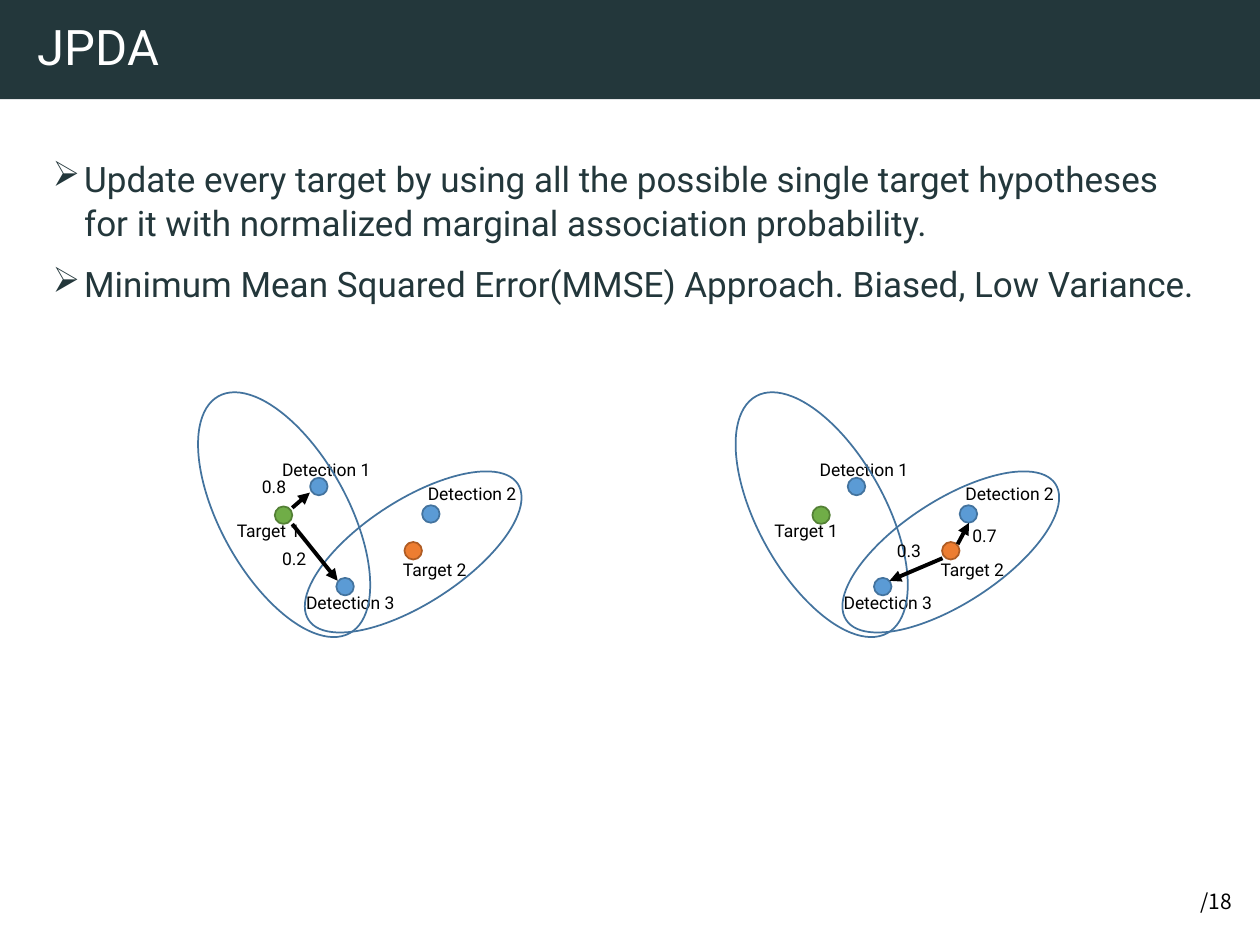
from lxml import etree
from pptx import Presentation
from pptx.dml.color import RGBColor
from pptx.enum.shapes import MSO_CONNECTOR, MSO_SHAPE
from pptx.enum.text import MSO_ANCHOR, MSO_AUTO_SIZE, PP_ALIGN
from pptx.oxml.ns import qn
from pptx.util import Pt

INK = RGBColor(0x23, 0x37, 0x3B)
WHITE = RGBColor(0xFF, 0xFF, 0xFF)
BLACK = RGBColor(0, 0, 0)
BLUE, BLUE_EDGE = RGBColor(0x5B, 0x9B, 0xD5), RGBColor(0x43, 0x73, 0x9E)
GREEN, GREEN_EDGE = RGBColor(0x70, 0xAD, 0x47), RGBColor(0x53, 0x80, 0x35)
ORANGE, ORANGE_EDGE = RGBColor(0xED, 0x7D, 0x31), RGBColor(0xAF, 0x5C, 0x24)

DOT = 10
PANEL_STEP = 307.2

# Dot: left, top, fill, edge; label: text, left, top, width
NODES = [
    (177.2, 273, BLUE, BLUE_EDGE, "Detection 1", 154.1, 258.5, 69),
    (157, 289.4, GREEN, GREEN_EDGE, "Target 1", 128.2, 293.8, 59),
    (231.1, 309.7, ORANGE, ORANGE_EDGE, "Target 2", 223.2, 316.1, 64),
    (241.2, 288.7, BLUE, BLUE_EDGE, "Detection 2", 237.4, 272.2, 69),
    (192.2, 330.2, BLUE, BLUE_EDGE, "Detection 3", 167.8, 335, 69),
]
# Gate: left, top, width, height, rotation
GATES = [(126, 216.7, 72.7, 154.8, 331), (206.6, 244.1, 59, 142.6, 57)]
# Association per panel: start, end, weight, weight position
PANELS = [
    [((167, 290.2), (177.1, 281.5), "0.8", (142.6, 268.6)),
     ((167, 299.5), (193, 331.9), "0.2", (154.1, 309.6))],
    [((231.4, 319), (201.1, 331.9), "0.3", (198.2, 305.3)),
     ((240, 311), (246.5, 298.8), "0.7", (241.4, 296.6))],
]
BULLETS = [
    "Update every target by using all the possible single target hypotheses "
    "for it with normalized marginal association probability.",
    "Minimum Mean Squared Error(MMSE) Approach. Biased, Low Variance.",
]


def write(p, text, size=10, color=BLACK, font="Roboto"):
    """Add one formatted run to a paragraph."""
    r = p.add_run()
    r.text = text
    r.font.size = Pt(size)
    r.font.name = font
    r.font.color.rgb = color
    for tag in ("a:ea", "a:sym"):
        r.font._element.append(r.font._element.makeelement(qn(tag), {"typeface": font}))


class Deck:
    """Current slide and the style of its elements."""

    def __init__(self, s):
        """Keep the slide to draw on."""
        self.s = s

    def title(self, text):
        """Turn the title placeholder into a full-width band."""
        sp = self.s.shapes.title
        sp.left, sp.top, sp.width, sp.height = Pt(0), Pt(0), Pt(720), Pt(56.7)
        sp.fill.solid()
        sp.fill.fore_color.rgb = INK
        tf = sp.text_frame
        tf.auto_size = MSO_AUTO_SIZE.NONE
        tf.vertical_anchor = MSO_ANCHOR.MIDDLE
        tf.margin_left = Pt(21.6)
        p = tf.paragraphs[0]
        p.alignment = PP_ALIGN.LEFT
        p.line_spacing = 0.9
        write(p, text, size=28, color=WHITE)

    def text(self, text, x, y, w, h=19.4, wrap=True, anchor=MSO_ANCHOR.TOP, **fmt):
        """Add a one-line text box."""
        tf = self.s.shapes.add_textbox(Pt(x), Pt(y), Pt(w), Pt(h)).text_frame
        tf.word_wrap = wrap
        tf.vertical_anchor = anchor
        write(tf.paragraphs[0], text, **fmt)

    def bullets(self, items, x, y, w, h):
        """Add a bulleted text box."""
        tf = self.s.shapes.add_textbox(Pt(x), Pt(y), Pt(w), Pt(h)).text_frame
        tf.word_wrap = True
        for i, item in enumerate(items):
            p = tf.add_paragraph() if i else tf.paragraphs[0]
            p.line_spacing = 1.05
            p.space_before = Pt(10)
            pPr = p._p.get_or_add_pPr()
            pPr.set("marL", str(Pt(18)))
            pPr.set("indent", str(-Pt(18)))
            etree.SubElement(pPr, qn("a:buChar"), char="➢")
            write(p, item, size=20, color=INK)

    def ellipse(self, x, y, w, h, edge, fill=None, rotation=0):
        """Add an ellipse, hollow unless a fill is given."""
        sp = self.s.shapes.add_shape(MSO_SHAPE.OVAL, Pt(x), Pt(y), Pt(w), Pt(h))
        sp.shadow.inherit = False
        sp.rotation = rotation
        if fill is None:
            sp.fill.background()
        else:
            sp.fill.solid()
            sp.fill.fore_color.rgb = fill
        sp.line.color.rgb = edge
        sp.line.width = Pt(1)

    def arrow(self, start, end, dx=0):
        """Add a black arrow, shifted right by dx."""
        (x1, y1), (x2, y2) = start, end
        c = self.s.shapes.add_connector(
            MSO_CONNECTOR.STRAIGHT, Pt(x1 + dx), Pt(y1), Pt(x2 + dx), Pt(y2))
        c.line.color.rgb = BLACK
        c.line.width = Pt(2.25)
        etree.SubElement(c.line._get_or_add_ln(), qn("a:tailEnd"), type="triangle")
        etree.SubElement(c._element.spPr, qn("a:effectLst"))

    def panel(self, associations, dx):
        """Draw both targets, their gates and the weighted associations."""
        for x, y, fill, edge, label, lx, ly, lw in NODES:
            self.ellipse(x + dx, y, DOT, DOT, edge, fill)
            self.text(label, lx + dx, ly, lw)
        for x, y, w, h, rotation in GATES:
            self.ellipse(x + dx, y, w, h, BLUE_EDGE, rotation=rotation)
        for start, end, weight, (wx, wy) in associations:
            self.arrow(start, end, dx)
            self.text(weight, wx + dx, wy, 34.6)


def main():
    """Build and save the slide."""
    prs = Presentation()
    prs.slide_width, prs.slide_height = Pt(720), Pt(540)
    deck = Deck(prs.slides.add_slide(prs.slide_layouts[5]))
    deck.text("/18", 679, 504, 32.4, 21.6, wrap=False, anchor=MSO_ANCHOR.MIDDLE,
              size=12, font="Noto Sans CJK SC")
    deck.title("JPDA")
    deck.bullets(BULLETS, 23, 85, 673.2, 437.8)
    for i, associations in enumerate(PANELS):
        deck.panel(associations, i * PANEL_STEP)
    prs.save("out.pptx")


main()
